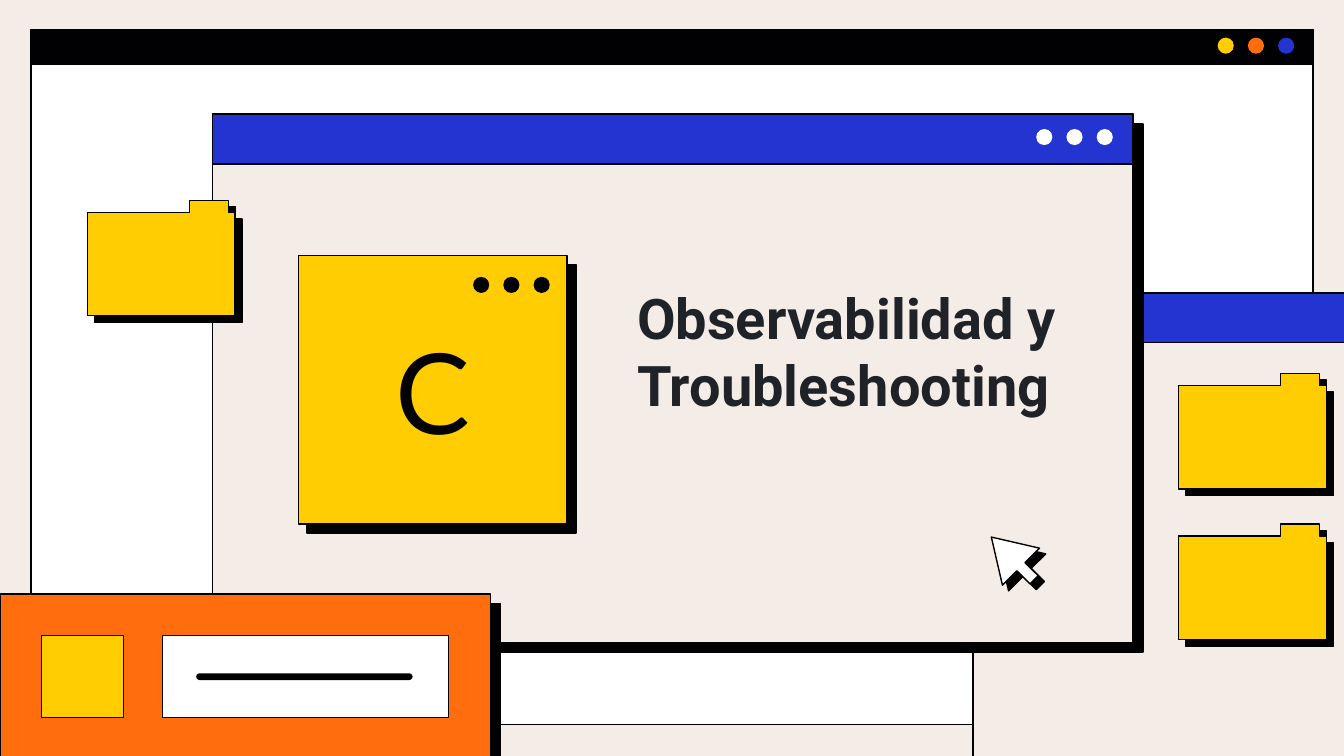
from lxml import etree
from pptx import Presentation
from pptx.dml.color import RGBColor
from pptx.enum.shapes import MSO_SHAPE
from pptx.enum.text import MSO_ANCHOR, PP_ALIGN
from pptx.oxml.ns import qn
from pptx.util import Inches, Pt

RECT, OVAL = MSO_SHAPE.RECTANGLE, MSO_SHAPE.OVAL
PILL, ARROW = MSO_SHAPE.ROUNDED_RECTANGLE, MSO_SHAPE.UP_ARROW
LEFT, CENTER = PP_ALIGN.LEFT, PP_ALIGN.CENTER
MIDDLE, BOTTOM = MSO_ANCHOR.MIDDLE, MSO_ANCHOR.BOTTOM

INK, WHITE, CREAM, TEXT = "010103", "FFFFFF", "F4ECE6", "1F2328"
BLUE, ORANGE, YELLOW = "2434D0", "FF6D0F", "FFCD01"
WIDE = 10
HIGH = WIDE * 9 / 16
DOT, SPAN = 0.12, 0.45  # dot size, first to last dot
BAR = 0.37              # title bar of a window


def color(code):
    return RGBColor.from_string(code)


def drop(shape, dist, angle):
    """Add a hard black shadow."""
    effects = shape.element.spPr.find(qn("a:effectLst"))
    shade = etree.SubElement(
        effects, qn("a:outerShdw"), dist=str(Pt(dist)),
        dir=str(angle * 60000), algn="bl", rotWithShape="0")
    etree.SubElement(shade, qn("a:srgbClr"), val="000000")


def style(shape, fill, line=True, shadow=None):
    shape.shadow.inherit = False
    shape.fill.solid()
    shape.fill.fore_color.rgb = color(fill)
    if line:
        shape.line.color.rgb = color(INK)
        shape.line.width = Pt(0.75)
    else:
        shape.line.fill.background()
    if shadow:
        drop(shape, *shadow)
    return shape


def box(slide, kind, x, y, w, h, fill, **look):
    shape = slide.shapes.add_shape(
        kind, Inches(x), Inches(y), Inches(w), Inches(h))
    return style(shape, fill, **look)


def write(shape, text, font, size, ink, bold=False, align=LEFT,
          anchor=MIDDLE):
    frame = shape.text_frame
    frame.word_wrap = True
    frame.vertical_anchor = anchor
    frame.margin_left = frame.margin_right = Inches(0.1)
    frame.margin_top = frame.margin_bottom = Inches(0.1)
    para = frame.paragraphs[0]
    para.alignment = align
    run = para.add_run()
    run.text = text
    run.font.name, run.font.size, run.font.bold = font, Pt(size), bold
    run.font.color.rgb = color(ink)


def dots(slide, x, y, fills):
    for i, fill in enumerate(fills):
        box(slide, OVAL, x + i * SPAN / 2, y, DOT, DOT, fill, line=False)


def window(slide, x, y, w, h, body, head, bar=BAR, shadow=None):
    box(slide, RECT, x, y, w, h, body, shadow=shadow)
    box(slide, RECT, x, y, w, bar, head)


def folder(slide, x, y):
    w, h, lip, tab, end = 1.1, 0.86, 0.09, 0.76, 1.05
    points = [(tab, lip), (0, lip), (0, h), (w, h), (w, lip),
              (end, lip), (end, 0)]
    path = slide.shapes.build_freeform(
        Inches(x + tab), Inches(y), scale=1.0)
    path.add_line_segments(
        [(Inches(x + a), Inches(y + b)) for a, b in points], close=True)
    style(path.convert_to_shape(), YELLOW, shadow=(5.2, 43))


def heading(slide, text):
    title = slide.shapes.title
    title.left, title.top = Inches(4.64), Inches(2.05)
    title.width, title.height = Inches(3.48), Inches(1.16)
    write(title, text, "Roboto", 30, TEXT, bold=True, anchor=BOTTOM)
    # Bring the title in front of the windows
    title.element.getparent().append(title.element)


def main():
    deck = Presentation()
    deck.slide_width, deck.slide_height = Inches(WIDE), Inches(HIGH)
    slide = deck.slides.add_slide(deck.slide_layouts[5])
    slide.background.fill.solid()
    slide.background.fill.fore_color.rgb = color(CREAM)
    deep = (7.5, 44)

    # Back, side and main windows
    window(slide, 0.23, 0.22, 9.54, 5.17, WHITE, INK, bar=0.26)
    dots(slide, 9.06, 0.28, [YELLOW, ORANGE, BLUE])
    window(slide, 7.24, 2.18, 5.8, 3.65, CREAM, BLUE, shadow=deep)
    window(slide, 1.58, 0.85, 6.85, 3.93, CREAM, BLUE, shadow=deep)
    dots(slide, 7.71, 0.96, [WHITE] * 3)

    # Title and letter card
    heading(slide, "Observabilidad y Troubleshooting")
    card = box(slide, RECT, 2.22, 1.9, 2, 2, YELLOW, shadow=(6.8, 46))
    write(card, "C", "Lato", 60, INK, align=CENTER)
    dots(slide, 3.52, 2.06, [INK] * 3)

    # Orange panel
    box(slide, RECT, 0, 4.42, 3.65, 1.23, ORANGE, shadow=deep)
    box(slide, RECT, 0.31, 4.73, 0.61, 0.61, YELLOW)
    box(slide, RECT, 1.21, 4.73, 2.13, 0.61, WHITE)
    pill = box(slide, PILL, 1.46, 5.01, 1.61, 0.05, INK, line=False)
    pill.adjustments[0] = 0.5

    # Folders and pointer
    for x, y in [(8.77, 2.78), (0.65, 1.49), (8.77, 3.9)]:
        folder(slide, x, y)
    arrow = box(slide, ARROW, 7.34, 3.93, 0.39, 0.45, WHITE,
                shadow=(4.5, 43))
    arrow.adjustments[0], arrow.adjustments[1] = 0.22, 0.8
    arrow.rotation = 315

    deck.save("out.pptx")


if __name__ == "__main__":
    main()
